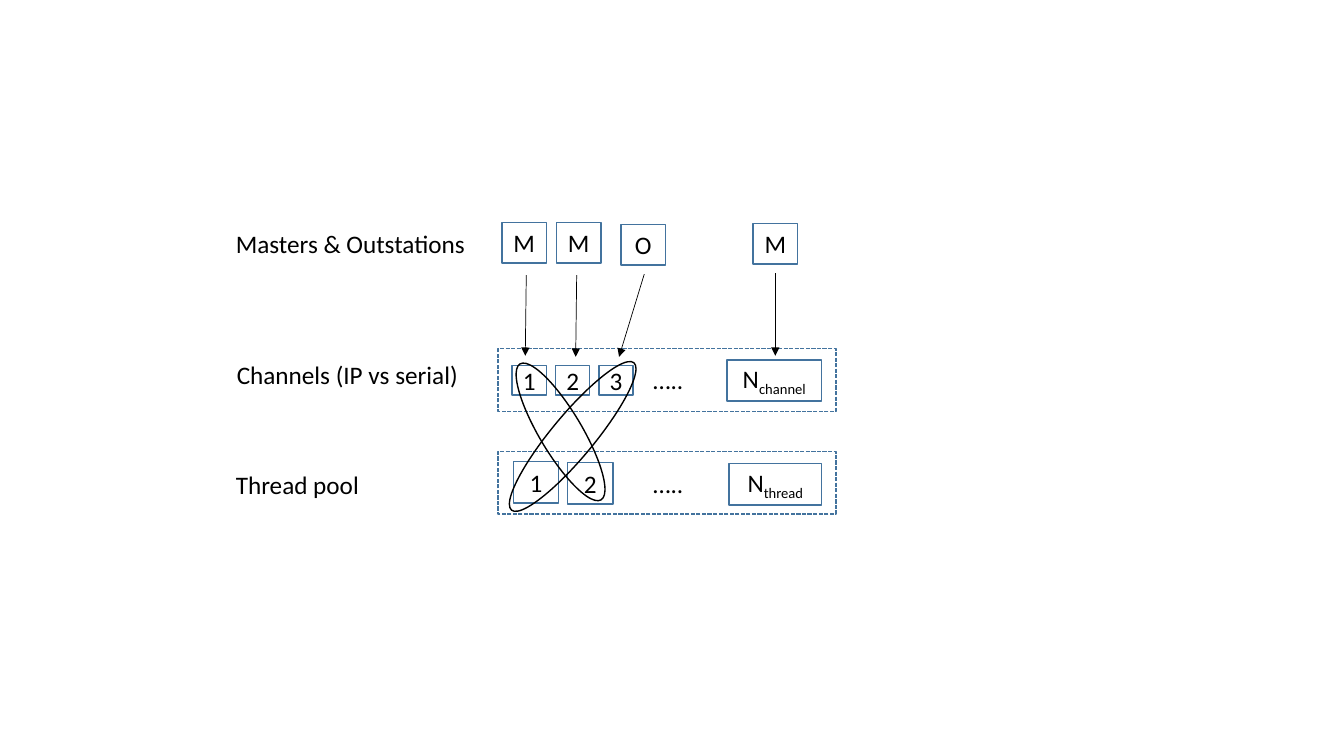
from dataclasses import dataclass

from lxml import etree
from pptx import Presentation
from pptx import util as u
from pptx.dml import color
from pptx.enum import dml, shapes, text
from pptx.oxml import ns


@dataclass(frozen=True)
class Theme:
    """Colours, type and line widths of the slide."""
    font: str = "Calibri"
    size: float = 18
    ink: str = "000000"
    paper: str = "FFFFFF"
    edge: str = "43739E"
    outline: float = 1
    arrow: float = 0.5
    subscript: str = "-25000"


class Diagram:
    """Draws on one slide with a grid of ten columns and rows to the inch."""

    def __init__(self, slide, theme):
        """Keep the slide and its style."""
        self.slide, self.theme = slide, theme

    def cells(self, *counts):
        """Turn grid counts into lengths."""
        return [u.Inches(count / 10) for count in counts]

    def fill_words(self, shape, words, subscript="", align=text.PP_ALIGN.LEFT):
        """Put words and an optional subscript into a shape."""
        para = shape.text_frame.paragraphs[0]
        para.alignment = align
        for words_part, lowered in ((words, False), (subscript, True)):
            if not words_part:
                continue
            span = para.add_run()
            span.text = words_part
            for name, value in {"name": self.theme.font, "size": u.Pt(self.theme.size)}.items():
                setattr(span.font, name, value)
            span.font.color.rgb = color.RGBColor.from_string(self.theme.ink)
            if lowered:
                span._r.get_or_add_rPr().set("baseline", self.theme.subscript)

    def outline(self, line, ink, width):
        """Colour a line and set its width."""
        line.color.rgb = color.RGBColor.from_string(ink)
        line.width = u.Pt(width)

    def box(self, place, words="", subscript="", dashed=False):
        """Add a white box with centred words."""
        box = self.slide.shapes.add_shape(shapes.MSO_SHAPE.RECTANGLE, *self.cells(*place))
        box.shadow.inherit = False
        box.fill.solid()
        box.fill.fore_color.rgb = color.RGBColor.from_string(self.theme.paper)
        self.outline(box.line, self.theme.edge, self.theme.outline)
        if dashed:
            box.line.dash_style = dml.MSO_LINE.SQUARE_DOT
        frame = {"margin_left": 0, "margin_right": 0, "word_wrap": True,
                 "vertical_anchor": text.MSO_ANCHOR.MIDDLE}
        for name, value in frame.items():
            setattr(box.text_frame, name, value)
        self.fill_words(box, words, subscript, text.PP_ALIGN.CENTER)

    def label(self, place, words):
        """Add a plain line of text."""
        label = self.slide.shapes.add_textbox(*self.cells(*place))
        label.text_frame.word_wrap = True
        self.fill_words(label, words)

    def loop(self, place, rotation):
        """Add a tilted ring around linked boxes."""
        ring = self.slide.shapes.add_shape(shapes.MSO_SHAPE.OVAL, *self.cells(*place))
        ring.shadow.inherit = False
        ring.fill.background()
        ring.rotation = rotation
        self.outline(ring.line, self.theme.ink, self.theme.outline)

    def arrow(self, start, end):
        """Add a thin arrow between two points."""
        arrow = self.slide.shapes.add_connector(
            shapes.MSO_CONNECTOR.STRAIGHT, *self.cells(*start, *end))
        self.outline(arrow.line, self.theme.ink, self.theme.arrow)
        etree.SubElement(arrow.line._get_or_add_ln(), ns.qn("a:tailEnd"), type="triangle")
        etree.SubElement(arrow._element.spPr, ns.qn("a:effectLst"))


def main():
    """Build and save the slide."""
    deck = Presentation()
    deck.slide_width, deck.slide_height = u.Inches(13.33), u.Inches(7.5)
    diagram = Diagram(deck.slides.add_slide(deck.slide_layouts[6]), Theme())

    pools = (
        (44.8, 46, (72.3, 46, 9.2, 4.1), "thread"),
        (34.6, 35.7, (72.1, 35.7, 9.4, 4.1), "channel"),
    )
    for top, dots_top, last_place, subscript in pools:
        diagram.box((49.4, top, 33.5, 6.2), dashed=True)
        diagram.label((63.8, dots_top, 10, 4), "…..")
        diagram.box(last_place, "N", subscript)

    for index in range(2):
        diagram.box((50.9 + 5.4 * index, 45.8 + 0.1 * index, 4.5, 4.1), str(index + 1))
    for index in range(3):
        diagram.box((50.8 + 4.3 * index, 36.25, 3.4, 2.95), str(index + 1))

    diagram.loop((54.7, 33.8, 4.2, 19), 39.7)
    diagram.loop((53.5, 35, 4.2, 15.7), 329.2)

    stations = (
        ("M", (49.8, 22.1), (52.2, 27.3), (52.1, 35.3)),
        ("M", (55.2, 22.1), (57.2, 27.3), (57.1, 35.4)),
        ("O", (61.6, 22.3), (63.9, 27.2), (61.4, 35.4)),
        ("M", (74.7, 22.2), (76.9, 27.1), (76.9, 35.3)),
    )
    for letter, corner, start, end in stations:
        diagram.box((*corner, 4.4, 4), letter)
        diagram.arrow(start, end)

    labels = (
        (22.4, 22.2, "Masters & Outstations"),
        (22.5, 35.2, "Channels (IP vs serial)"),
        (22.4, 46.1, "Thread pool"),
    )
    for left, top, words in labels:
        diagram.label((left, top, 25.5, 4), words)

    deck.save("out.pptx")


if __name__ == "__main__":
    main()
